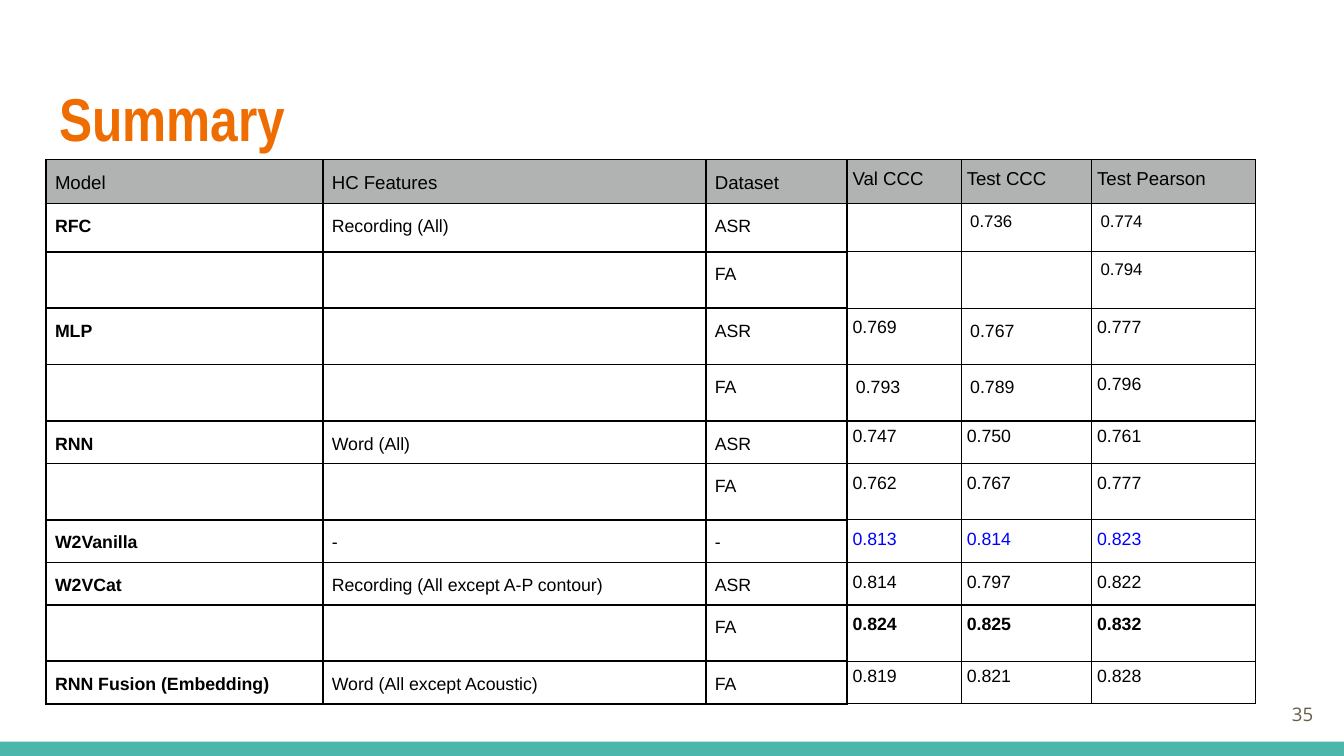
from lxml import etree
from pptx import Presentation
from pptx.dml.color import RGBColor
from pptx.enum.shapes import MSO_SHAPE
from pptx.enum.text import MSO_ANCHOR, PP_ALIGN
from pptx.oxml.ns import qn
from pptx.util import Pt

RECTANGLE = MSO_SHAPE.RECTANGLE
MIDDLE = MSO_ANCHOR.MIDDLE
LEFT, RIGHT = PP_ALIGN.LEFT, PP_ALIGN.RIGHT
NO_STYLE = "{2D5ABB26-0587-4C30-8999-92F81FD0307C}"
TITLE_ONLY_LAYOUT = 5

BLACK, BLUE, GREY, TEAL = "000000", "0000FF", "B0B3B2", "4DB6AC"
ORANGE, BROWN = "EF6C00", "695D46"

COLUMN_WIDTHS = [148.32, 205.2, 75.6, 61.2, 69.84, 87.84]
LABEL_COLUMNS = 3
WIDE_INSET, NARROW_INSET = 4.8, 3
HEADER_HEIGHT = 23.6
HEADERS = ["Model", "HC Features", "Dataset", "Val CCC", "Test CCC", "Test Pearson"]

SINGLE = {"spacing": 1.0}
WIDE_SMALL = {"spacing": 1.0, "size": 9, "inset": WIDE_INSET}

# Each group: model, features, then rows of dataset, scores, height, score format.
GROUPS = [
    ("RFC", "Recording (All)", [
        ("ASR", ["", "0.736", "0.774"], 25.9, WIDE_SMALL),
        ("FA", ["", "", "0.794"], 30.3, WIDE_SMALL)]),
    ("MLP", "", [
        ("ASR", ["0.769", "0.767", "0.777"], 30.2, {}),
        ("FA", ["0.793", "0.789", "0.796"], 30.2, {})]),
    ("RNN", "Word (All)", [
        ("ASR", ["0.747", "0.750", "0.761"], 22.8, SINGLE),
        ("FA", ["0.762", "0.767", "0.777"], 30.2, {})]),
    ("W2Vanilla", "-", [
        ("-", ["0.813", "0.814", "0.823"], 22.8, {"color": BLUE})]),
    ("W2VCat", "Recording (All except A-P contour)", [
        ("ASR", ["0.814", "0.797", "0.822"], 22.8, {}),
        ("FA", ["0.824", "0.825", "0.832"], 30.2, {"bold": True})]),
    ("RNN Fusion (Embedding)", "Word (All except Acoustic)", [
        ("FA", ["0.819", "0.821", "0.828"], 22.8, SINGLE)]),
]
WIDE_SCORES = {"0.793", "0.789"}
WIDE_MLP_TEST = ("MLP", "ASR", 1)


def rgb(value):
    return RGBColor.from_string(value)


def set_attributes(target, values):
    for name, value in values.items():
        setattr(target, name, value)


def write_text(paragraph, text, size, color, font="Arial", bold=False,
               spacing=1.0, alignment=LEFT):
    set_attributes(paragraph, {"line_spacing": spacing, "alignment": alignment})
    if not text:
        paragraph._p.get_or_add_endParaRPr().set("sz", str(int(size * 100)))
        return
    run = paragraph.add_run()
    run.text = text
    set_attributes(run.font, {"name": font, "size": Pt(size), "bold": bold})
    run.font.color.rgb = rgb(color)


def set_frame(text_frame, inset, **values):
    margins = {f"margin_{side}": Pt(inset) for side in ("left", "top", "right", "bottom")}
    set_attributes(text_frame, {**margins, **values})


def set_borders(cell, width, sides):
    properties = cell._tc.get_or_add_tcPr()
    for index, side in enumerate(side for side in "LRTB" if side in sides):
        line = etree.Element(qn(f"a:ln{side}"), w=str(Pt(width)))
        fill = etree.SubElement(line, qn("a:solidFill"))
        etree.SubElement(fill, qn("a:srgbClr"), val=BLACK)
        properties.insert(index, line)


def format_cell(cell, text, inset, width, sides="LRTB", fill=None,
                size=9.5, color=BLACK, bold=False, spacing=1.2):
    set_frame(cell, inset)
    write_text(cell.text_frame.paragraphs[0], text, size, color, bold=bold, spacing=spacing)
    if fill:
        cell.fill.solid()
        cell.fill.fore_color.rgb = rgb(fill)
    else:
        cell.fill.background()
    set_borders(cell, width, sides)


def add_bar(slide):
    shape = slide.shapes.add_shape(RECTANGLE, Pt(0), Pt(397.3), Pt(720), Pt(7.7))
    shape.shadow.inherit = False
    shape.fill.solid()
    shape.fill.fore_color.rgb = rgb(TEAL)
    shape.line.fill.background()


def add_title(slide, text):
    title = slide.shapes.title
    set_attributes(title, {"left": Pt(24.5), "top": Pt(35.3),
                           "width": Pt(671), "height": Pt(55.4)})
    set_frame(title.text_frame, 7.2, vertical_anchor=MIDDLE, word_wrap=True)
    write_text(title.text_frame.paragraphs[0], text, 32.4, ORANGE, "Arial Narrow", True)


def add_page_number(slide, text):
    box = slide.shapes.add_textbox(Pt(667.4), Pt(367.2), Pt(43.2), Pt(31))
    set_frame(box.text_frame, 7.2, vertical_anchor=MIDDLE, word_wrap=True)
    write_text(box.text_frame.paragraphs[0], text, 10, BROWN, "Open Sans", alignment=RIGHT)


def fill_header(table):
    for column, text in enumerate(HEADERS):
        is_label = column < LABEL_COLUMNS
        format_cell(table.cell(0, column), text, WIDE_INSET if is_label else NARROW_INSET,
                    1 if is_label else 0.75, fill=GREY, size=10)


def fill_group(table, first_row, model, features, rows):
    """Label a model once, with no line between its rows in the label columns."""
    for offset, (dataset, scores, height, score_format) in enumerate(rows):
        row = first_row + offset
        table.rows[row].height = Pt(height)
        sides = "LR" + "T" * (offset == 0) + "B" * (offset == len(rows) - 1)
        labels = (model, features) if offset == 0 else ("", "")
        for column, text in enumerate(labels):
            format_cell(table.cell(row, column), text, WIDE_INSET, 1, sides, bold=column == 0)
        format_cell(table.cell(row, 2), dataset, WIDE_INSET, 1)
        for index, score in enumerate(scores):
            wide = score in WIDE_SCORES or (model, dataset, index) == WIDE_MLP_TEST
            values = {"inset": WIDE_INSET if wide else NARROW_INSET, **score_format}
            format_cell(table.cell(row, LABEL_COLUMNS + index), score, width=0.75, **values)


def add_results_table(slide):
    heights = [HEADER_HEIGHT] + [row[2] for group in GROUPS for row in group[2]]
    frame = slide.shapes.add_table(len(heights), len(HEADERS), Pt(24.7), Pt(85.4),
                                   Pt(sum(COLUMN_WIDTHS)), Pt(sum(heights)))
    table = frame.table
    set_attributes(table, {"first_row": False, "horz_banding": False})
    table._tbl.tblPr.find(qn("a:tableStyleId")).text = NO_STYLE
    for column, width in zip(table.columns, COLUMN_WIDTHS):
        column.width = Pt(width)
    table.rows[0].height = Pt(HEADER_HEIGHT)
    fill_header(table)
    first_row = 1
    for model, features, rows in GROUPS:
        fill_group(table, first_row, model, features, rows)
        first_row += len(rows)


def main():
    presentation = Presentation()
    set_attributes(presentation, {"slide_width": Pt(720), "slide_height": Pt(405)})
    slide = presentation.slides.add_slide(presentation.slide_layouts[TITLE_ONLY_LAYOUT])
    add_bar(slide)
    add_title(slide, "Summary")
    add_results_table(slide)
    add_page_number(slide, "35")
    presentation.save("out.pptx")


if __name__ == "__main__":
    main()
